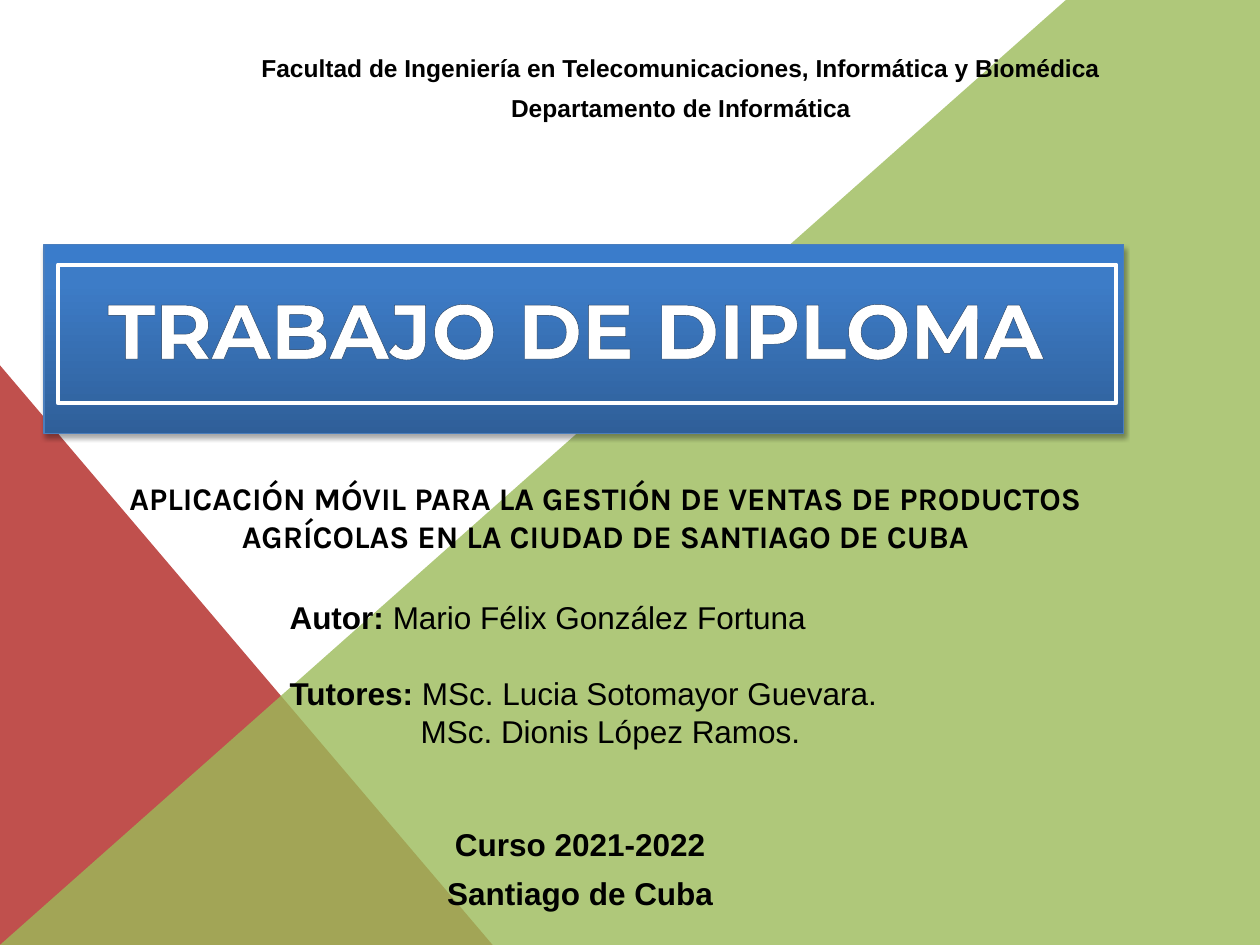
from dataclasses import dataclass

from lxml.etree import SubElement
from pptx import Presentation
from pptx.dml.color import RGBColor
from pptx.enum.shapes import MSO_SHAPE as Shape
from pptx.enum.text import MSO_AUTO_SIZE as AutoSize, PP_ALIGN as Align
from pptx.oxml import parse_xml
from pptx.oxml.ns import nsdecls, qn
from pptx.util import Inches, Pt

COLORS = {
    "red": "C0504D", "green": "9BBB59", "white": "FFFFFF", "black": "000000",
    "blue_dark": "2F5F99", "blue_mid": "3D7CC7", "blue_light": "3A7CCB",
    "blue_edge": "4B7EBC", "navy": "254061",
}


@dataclass
class Para:
    """One paragraph: a bold part followed by a regular part."""
    bold: str = ""
    plain: str = ""
    after: float = 0
    indent: float = 0


@dataclass
class TextBox:
    box: tuple[float, float, float, float]
    paras: list[Para]
    size: float = 18
    font: str = "Arial"
    color: str = "black"
    align: Align = Align.CENTER
    wrap: bool = True


def rgb(name: str) -> RGBColor:
    return RGBColor.from_string(COLORS[name])


def add_text(slide, spec_box: TextBox):
    sp = slide.shapes.add_textbox(*map(Inches, spec_box.box))
    tf = sp.text_frame
    tf.word_wrap = spec_box.wrap
    tf.auto_size = AutoSize.SHAPE_TO_FIT_TEXT
    for i, para in enumerate(spec_box.paras):
        p = tf.add_paragraph() if i else tf.paragraphs[0]
        p.alignment = spec_box.align
        if para.after:
            p.space_after = Pt(para.after)
        if para.indent:
            p._p.get_or_add_pPr().set("marL", str(Inches(para.indent)))
        for text, bold in ((para.bold, True), (para.plain, False)):
            if text:
                r = p.add_run()
                r.text = text
                r.font.name, r.font.size = spec_box.font, Pt(spec_box.size)
                r.font.bold = bold
                r.font.color.rgb = rgb(spec_box.color)
    return sp


def add_panel(slide, shape: Shape, box: tuple[float, ...], fill: str = "",
              line: str = "", width: float = 0):
    sp = slide.shapes.add_shape(shape, *map(Inches, box))
    sp.shadow.inherit = False
    if fill:
        sp.fill.solid()
        sp.fill.fore_color.rgb = rgb(fill)
    else:
        sp.fill.background()
    if line:
        sp.line.color.rgb = rgb(line)
        sp.line.width = Pt(width)
    else:
        sp.line.fill.background()
    return sp


def add_green_area(slide) -> None:
    corners = [(8.46, 0), (10, 0), (10, 7.5)]
    builder = slide.shapes.build_freeform(0, Inches(7.5))
    builder.add_line_segments([(Inches(x), Inches(y)) for x, y in corners])
    sp = builder.convert_to_shape()
    sp.shadow.inherit = False
    sp.fill.solid()
    sp.fill.fore_color.rgb = rgb("green")
    sp.line.fill.background()
    color = sp._element.spPr.find(qn("a:solidFill"))[0]
    SubElement(color, qn("a:alpha")).set("val", "80000")


def style_banner(sp) -> None:
    """Vertical three-stop gradient and a soft shadow below."""
    stops = "".join(
        f'<a:gs pos="{pos * 1000}"><a:srgbClr val="{COLORS[name]}"/></a:gs>'
        for pos, name in ((0, "blue_dark"), (80, "blue_mid"), (100, "blue_light")))
    spPr = sp._element.spPr
    spPr.replace(spPr.find(qn("a:noFill")), parse_xml(
        f'<a:gradFill {nsdecls("a")} rotWithShape="1"><a:gsLst>{stops}</a:gsLst>'
        '<a:lin ang="16200000" scaled="0"/></a:gradFill>'))
    spPr.find(qn("a:effectLst")).append(parse_xml(
        f'<a:outerShdw {nsdecls("a")} blurRad="{Pt(3.1)}" dist="{Pt(1.8)}" '
        f'dir="5400000" rotWithShape="0"><a:srgbClr val="{COLORS["black"]}">'
        '<a:alpha val="35000"/></a:srgbClr></a:outerShdw>'))


def outline_text(sp, color: str, width: float) -> None:
    rPr = sp.text_frame.paragraphs[0].runs[0].font._element
    rPr.insert(0, parse_xml(
        f'<a:ln {nsdecls("a")} w="{Pt(width)}"><a:solidFill>'
        f'<a:srgbClr val="{COLORS[color]}"/></a:solidFill></a:ln>'))


TITLE = TextBox((0.59, 2.19, 7.96, 0.84), [Para("TRABAJO DE DIPLOMA")],
                size=44, font="Montserrat", color="white", wrap=False)
DETAILS = [
    TextBox((1.64, 0.37, 7.53, 0.66), [
        Para("Facultad de Ingeniería en Telecomunicaciones, Informática y Biomédica",
             after=6),
        Para("Departamento de Informática", after=6)], size=14),
    TextBox((0.83, 3.75, 7.95, 0.71), [
        Para("APLICACIÓN MÓVIL PARA LA GESTIÓN DE VENTAS DE PRODUCTOS "
             "AGRÍCOLAS EN LA CIUDAD DE SANTIAGO DE CUBA")], font="Karla"),
    TextBox((2.2, 4.7, 5.2, 1.62), [
        Para("Autor: ", "Mario Félix González Fortuna", after=21.6),
        Para("Tutores: ", "MSc. Lucia Sotomayor Guevara."),
        Para(plain="MSc. Dionis López Ramos.", indent=1.04)], align=Align.JUSTIFY),
    TextBox((0.59, 6.5, 8.03, 0.79), [
        Para("Curso 2021-2022", after=6), Para("Santiago de Cuba", after=6)]),
]


def main() -> None:
    prs = Presentation()
    prs.slide_width, prs.slide_height = Inches(10), Inches(7.5)
    s = prs.slides.add_slide(prs.slide_layouts[6])

    # Background areas
    add_panel(s, Shape.RIGHT_TRIANGLE, (0, 2.9, 3.91, 4.6), fill="red")
    add_green_area(s)

    # Title banner with its inner frame
    style_banner(add_panel(s, Shape.RECTANGLE, (0.35, 1.94, 8.57, 1.5),
                           line="blue_edge", width=0.75))
    outline_text(add_text(s, TITLE), "navy", 0.8)
    add_panel(s, Shape.RECTANGLE, (0.46, 2.1, 8.4, 1.1), line="white", width=2.25)

    # Faculty, thesis subject, people and date
    for text_box in DETAILS:
        add_text(s, text_box)

    prs.save("out.pptx")


if __name__ == "__main__":
    main()
